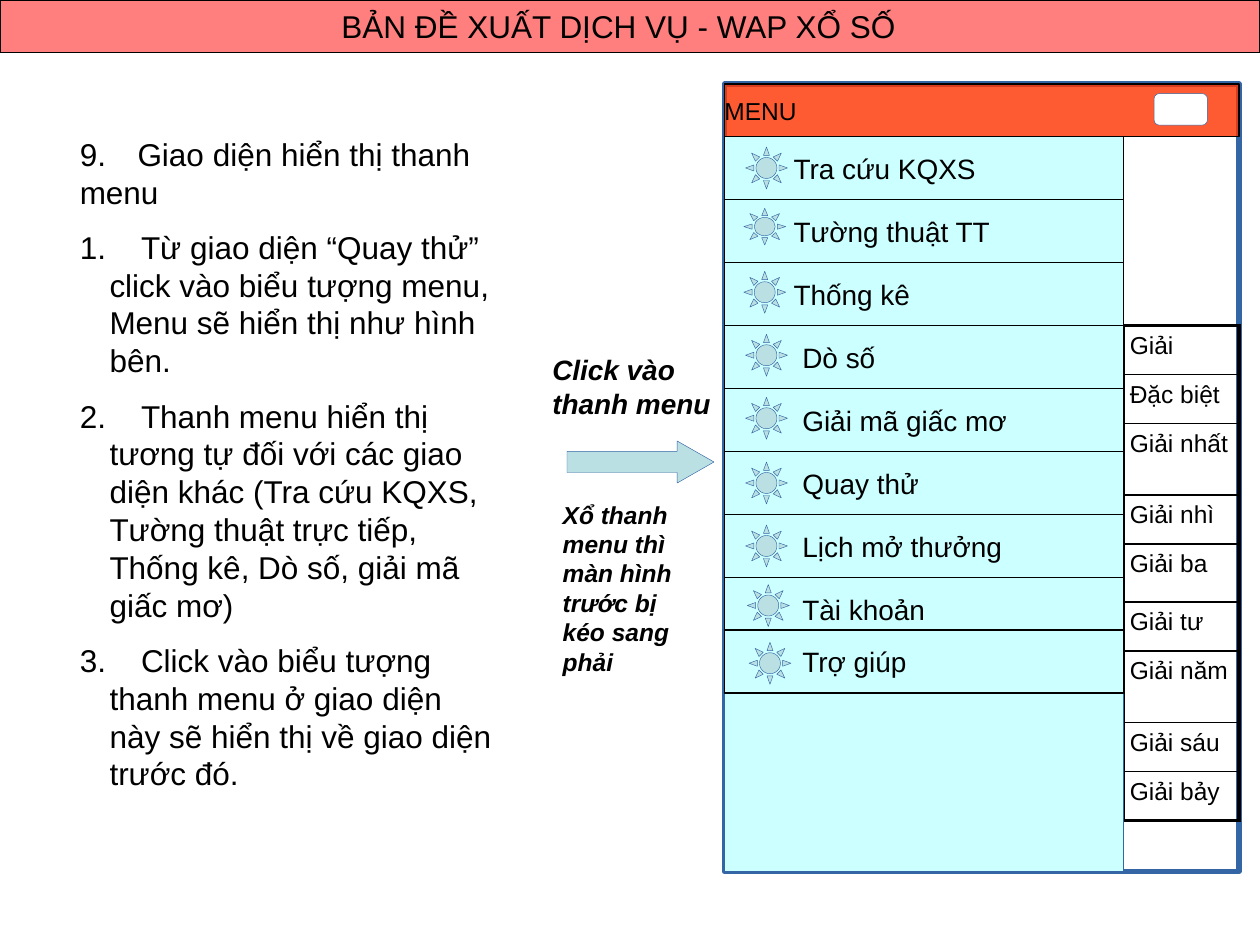
"""Build the slide that proposes the sliding menu of a lottery site."""
import pptx
import pptx.util
import pptx.dml.color
import pptx.enum.shapes
import pptx.enum.text
import pptx.oxml.ns
from dataclasses import dataclass
from lxml import etree

Pt = pptx.util.Pt
Kind = pptx.enum.shapes.MSO_SHAPE
Anchor = pptx.enum.text.MSO_ANCHOR
Align = pptx.enum.text.PP_ALIGN
qn = pptx.oxml.ns.qn


@dataclass(frozen=True)
class Theme:
    font: str = "Arial"
    black: str = "000000"
    white: str = "FFFFFF"
    red: str = "FF0000"
    orange: str = "FF3300"
    cyan: str = "CCFFFF"
    teal: str = "BBE0E3"
    blue: str = "3465A4"
    large: int = 18
    mid: int = 16
    small: int = 14


theme = Theme()

TITLE = "BẢN ĐỀ XUẤT DỊCH VỤ - WAP XỔ SỐ"
HEAD = "9.\u2003Giao diện hiển thị thanh menu"
STEPS = [
    "Từ giao diện “Quay thử” click vào biểu tượng menu, Menu sẽ hiển thị như hình bên.",
    "Thanh menu hiển thị tương tự đối với các giao diện khác (Tra cứu KQXS, "
    "Tường thuật trực tiếp, Thống kê, Dò số, giải mã giấc mơ)",
    "Click vào biểu tượng thanh menu ở giao diện này sẽ hiển thị về giao diện trước đó.",
]
NOTES = [
    ("Click vào thanh menu", (312, 198, 120, 42.5), theme.mid, 9),
    ("Xổ thanh menu thì màn hình trước bị kéo sang phải", (318, 282, 78, 103), theme.small, 8),
]
MENU = [
    ("Tra cứu KQXS", 78, 39.5, 153, (426, 84, 24)),
    ("Tường thuật TT", 114, 39.5, 161, (425, 119, 21)),
    ("Thống kê", 150, 39.5, 115, (425, 155, 24)),
    ("Dò số", 186, 44.5, 95, (426, 191, 24)),
    ("Giải mã giấc mơ", 222, 44.5, 170, (426, 227, 24)),
    ("Quay thử", 258, 44.5, 120, (426, 264, 24)),
    ("Lịch mở thưởng", 294, 44.5, 167, (426, 300, 24)),
    ("Tài khoản", 330, 44.5, 123, (427, 334, 24)),
    ("Trợ giúp", 360, 44.5, 113, (428, 367, 24)),
]
PRIZES = [
    ("Giải", 28), ("Đặc biệt", 28), ("Giải nhất", 41),
    ("Giải nhì", 28), ("Giải ba", 33), ("Giải tư", 28),
    ("Giải năm", 41), ("Giải sáu", 28), ("Giải bảy", 28),
]
LEFT, WIDE, ROW = 414, 228, 36

deck = pptx.Presentation()
deck.slide_width, deck.slide_height = Pt(720), Pt(540)
slide = deck.slides.add_slide(deck.slide_layouts[5])


def rgb(code):
    return pptx.dml.color.RGBColor.from_string(code)


def place(box):
    return [Pt(n) for n in box]


def draw(kind, box, fill, line=theme.blue, width=0.25, alpha=None):
    shape = slide.shapes.add_shape(kind, *place(box))
    shape.shadow.inherit = False
    shape.fill.solid()
    shape.fill.fore_color.rgb = rgb(fill)
    shape.line.color.rgb = rgb(line)
    shape.line.width = Pt(width)
    if alpha:
        tone = shape._element.spPr.find(qn("a:solidFill") + "/" + qn("a:srgbClr"))
        etree.SubElement(tone, qn("a:alpha")).set("val", str(alpha * 1000))
    return shape


def style(para, size, bold=False, before=0):
    para.font.name = theme.font
    para.font.size = Pt(size)
    para.font.color.rgb = rgb(theme.black)
    para.font.bold = para.font.italic = bold
    para.space_before = Pt(before)


def inset(frame, left, rest):
    frame.margin_left = Pt(left)
    frame.margin_top = frame.margin_right = frame.margin_bottom = Pt(rest)


def write(box, lines, size, left=3.6, rest=3.6, anchor=Anchor.TOP, bold=False, before=0):
    frame = slide.shapes.add_textbox(*place(box)).text_frame
    frame.word_wrap = True
    frame.vertical_anchor = anchor
    inset(frame, left, rest)
    frame.text = "\n".join(lines)
    for para in frame.paragraphs:
        style(para, size, bold, before)
    return frame


def edge(cell, side, width):
    line = etree.SubElement(cell._tc.get_or_add_tcPr(), qn("a:" + side), w=str(Pt(width)))
    fill = etree.SubElement(line, qn("a:solidFill"))
    etree.SubElement(fill, qn("a:srgbClr"), val=theme.black)


def add_title():
    draw(Kind.RECTANGLE, (0, 0, 720, 30), theme.red, theme.black, 0.75, 50)
    title = slide.shapes.title
    title.left, title.top, title.width, title.height = place((189, 1.5, 329, 27))
    frame = title.text_frame
    frame.text = TITLE
    frame.word_wrap = False
    frame.vertical_anchor = Anchor.MIDDLE
    inset(frame, 0, 0)
    para = frame.paragraphs[0]
    para.alignment = Align.CENTER
    style(para, theme.large)
    slide.shapes._spTree.append(title._element)


def add_prizes():
    high = sum(size for _, size in PRIZES)
    table = slide.shapes.add_table(len(PRIZES), 1, *place((642, 186, 66, high))).table
    table.first_row = table.horz_banding = False
    last = len(PRIZES) - 1
    for i, (name, size) in enumerate(PRIZES):
        table.rows[i].height = Pt(size)
        cell = table.cell(i, 0)
        cell.text = name
        inset(cell, 3.6, 3.6)
        style(cell.text_frame.paragraphs[0], theme.small, before=3)
        edge(cell, "lnL", 2.25)
        edge(cell, "lnR", 2.25)
        edge(cell, "lnT", 1 if i else 2.25)
        edge(cell, "lnB", 2.25 if i == last else 1)
        cell.fill.background()


def add_menu():
    for name, top, indent, width, (x, y, high) in MENU:
        draw(Kind.RECTANGLE, (LEFT, top, WIDE, ROW), theme.cyan, theme.black, 0.75)
        write((LEFT, top + 6, width, 24), [name], theme.mid, indent, 0, Anchor.MIDDLE)
        draw(Kind.SUN, (x, y, 24, high), theme.teal)


def add_steps():
    lines = [HEAD] + ["\u2003" + step for step in STEPS]
    frame = write((42, 73.5, 246, 354), lines, theme.large, before=10)
    for para in frame.paragraphs[1:]:
        props = para._p.get_or_add_pPr()
        props.set("marL", str(Pt(17)))
        props.set("indent", str(-Pt(17)))
        mark = etree.SubElement(props, qn("a:buAutoNum"), type="arabicPeriod")
        props.find(qn("a:defRPr")).addprevious(mark)


add_title()
draw(Kind.RECTANGLE, (LEFT, 48, 294, 450), theme.white, width=3)
draw(Kind.RECTANGLE, (LEFT, 48, 294, 30), theme.orange, theme.black, 0.75, 80)
write((LEFT, 51.5, 50, 23), ["MENU"], theme.small, 0, 0, Anchor.MIDDLE)
add_prizes()
draw(Kind.ROUNDED_RECTANGLE, (659.5, 53.5, 30.5, 18), theme.white)
draw(Kind.RECTANGLE, (LEFT, 396, WIDE, 102), theme.cyan)
add_menu()
arrow = draw(Kind.RIGHT_ARROW, (324, 252, 84, 24), theme.teal)
arrow.adjustments[0], arrow.adjustments[1] = 0.5, 0.875
for text, box, size, before in NOTES:
    write(box, [text], size, bold=True, before=before)
add_steps()
deck.save("out.pptx")
